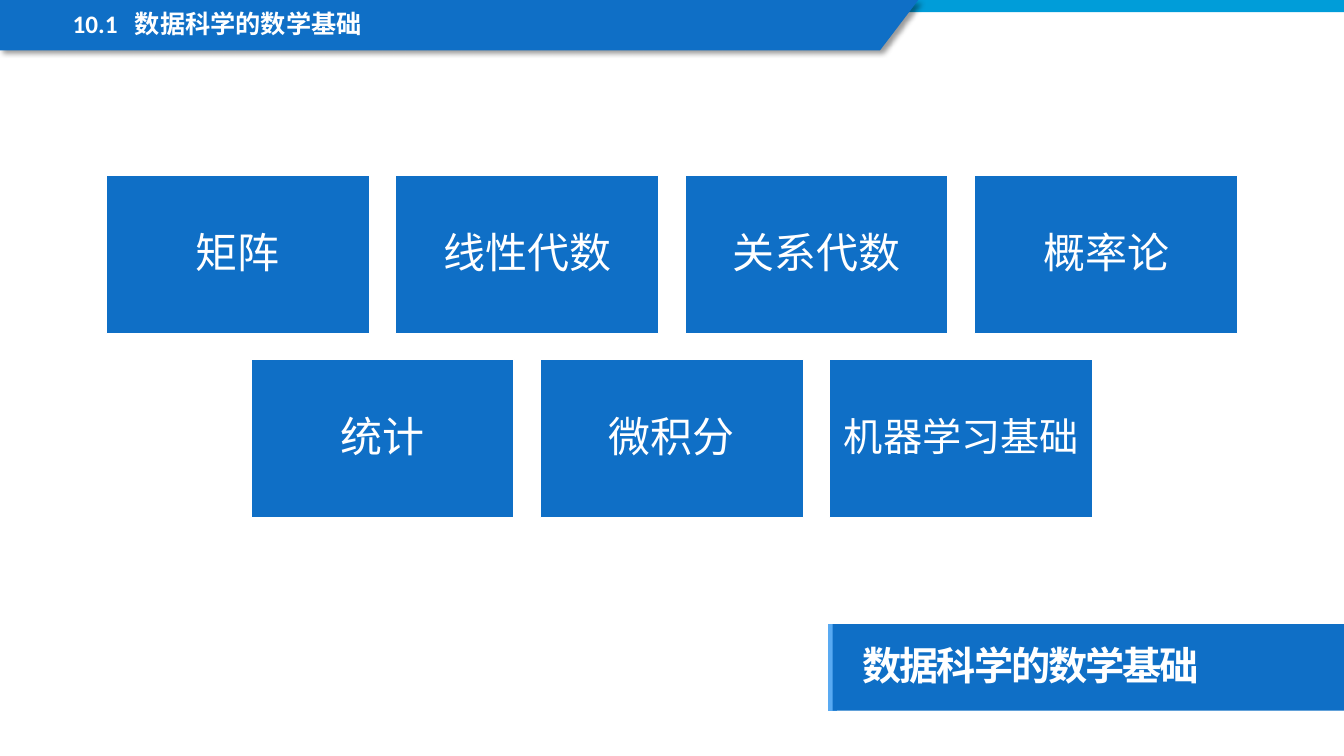
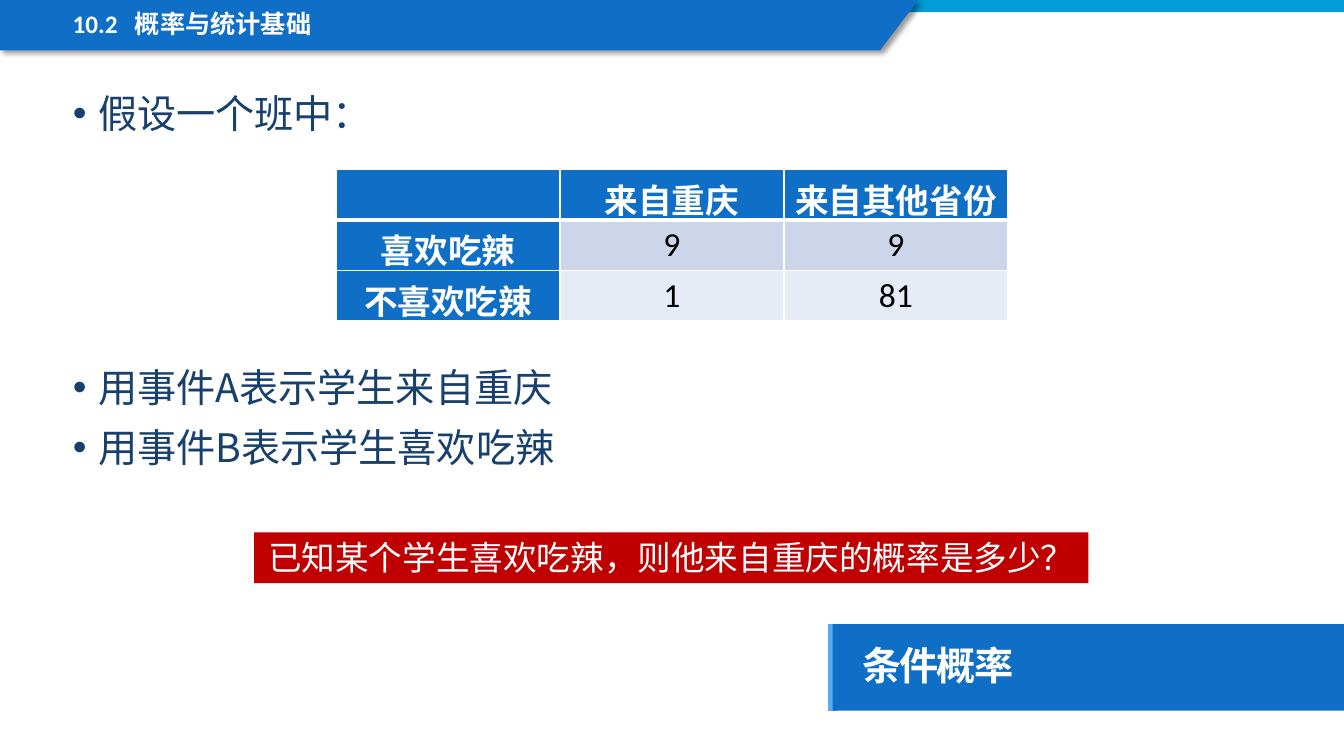
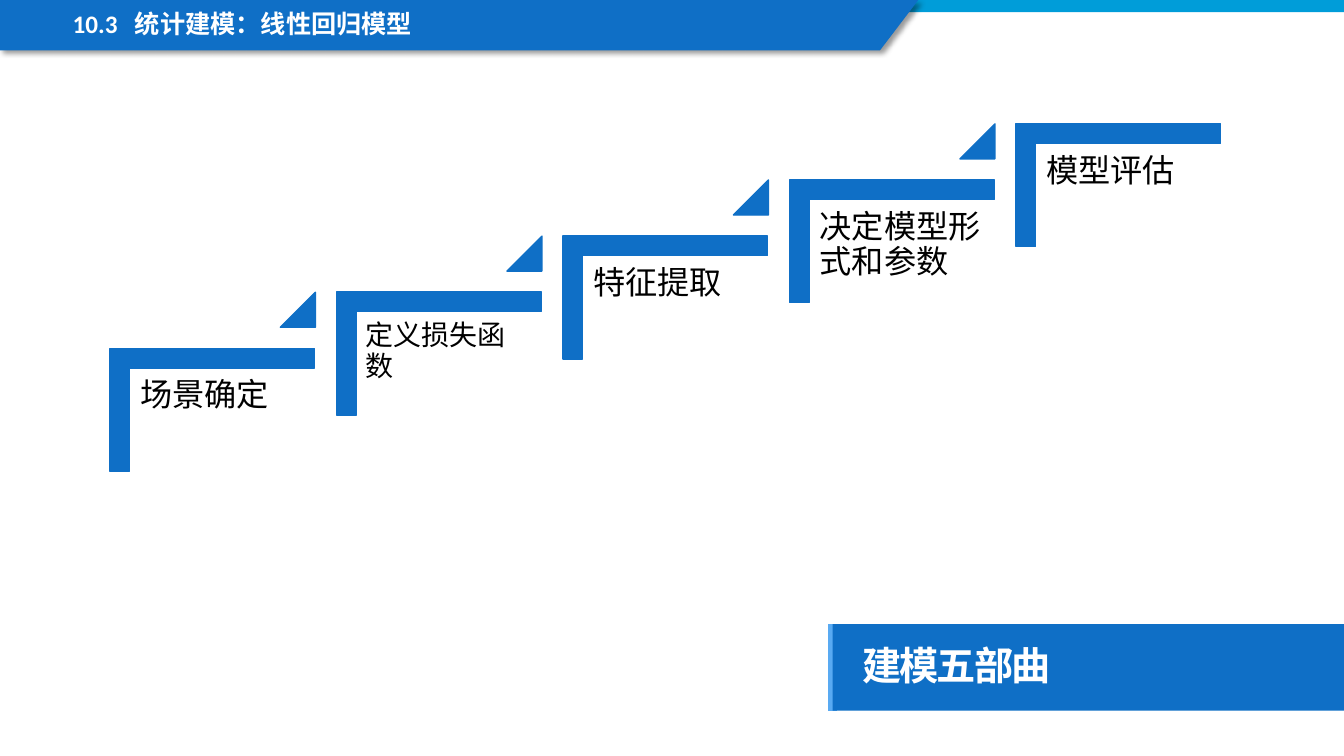
from dataclasses import dataclass
from typing import Optional

from lxml.etree import SubElement
from pptx import Presentation
from pptx.dml.color import RGBColor
from pptx.enum.shapes import MSO_CONNECTOR, MSO_SHAPE
from pptx.enum.text import MSO_ANCHOR, PP_ALIGN
from pptx.oxml.ns import qn
from pptx.util import Pt

COLOURS = {
    "blue": "0F6FC6", "cyan": "009DD9", "edge": "59AAF2", "navy": "17406D",
    "red": "C00000", "white": "FFFFFF", "black": "000000",
    "band_dark": "CCD5EA", "band_light": "E7EBF5",
}
CJK_FONT = "Noto Sans CJK SC"
PAGE_WIDTH, PAGE_HEIGHT = 960, 540


@dataclass(frozen=True)
class TextStyle:
    size: float
    colour: str
    font: str = "Calibri"
    bold: bool = False
    align: PP_ALIGN = PP_ALIGN.LEFT
    anchor: MSO_ANCHOR = MSO_ANCHOR.TOP
    line_spacing: float = 0.9
    space_before: float = 0
    insets: tuple = (7.2, 3.6, 7.2, 3.6)
    wrap: bool = True
    tracking: Optional[int] = None
    bullet_indent: float = 0
    tab_stop: float = 0


@dataclass(frozen=True)
class Step:
    label: str
    size: float = 23
    inset: float = 7.2


@dataclass(frozen=True)
class Tile:
    label: str
    size: float = 30


HEADING = TextStyle(18, "white", bold=True, tab_stop=44.5)
PANEL = TextStyle(28, "white", CJK_FONT, True, anchor=MSO_ANCHOR.MIDDLE,
                  insets=(21.6, 14.4, 14.4, 14.4), tracking=-150)
BULLETS = TextStyle(28, "navy", CJK_FONT, line_spacing=1.1, space_before=6,
                    bullet_indent=18)
QUESTION = TextStyle(24, "white", CJK_FONT, align=PP_ALIGN.CENTER,
                     line_spacing=1.0, wrap=False)


def colour(name: str) -> RGBColor:
    return RGBColor.from_string(COLOURS[name])


def points(*lengths: float) -> list:
    return [Pt(length) for length in lengths]


def set_attributes(target, values: dict) -> None:
    for name, value in values.items():
        setattr(target, name, value)


# Text
def write_paragraph(para, text: str, style: TextStyle, first: bool = True) -> None:
    set_attributes(para, {
        "alignment": style.align,
        "line_spacing": style.line_spacing,
        "space_before": Pt(0 if first else style.space_before),
    })
    properties = para._p.get_or_add_pPr()
    if style.bullet_indent:
        indent = Pt(style.bullet_indent)
        properties.set("marL", str(indent))
        properties.set("indent", str(-indent))
        SubElement(properties, qn("a:buFont"), typeface="Arial")
        SubElement(properties, qn("a:buChar"), char="•")
    if style.tab_stop:
        tabs = SubElement(properties, qn("a:tabLst"))
        SubElement(tabs, qn("a:tab"), pos=str(Pt(style.tab_stop)), algn="l")
    span = para.add_run()
    span.text = text
    set_attributes(span.font, {"name": style.font, "size": Pt(style.size),
                               "bold": style.bold})
    span.font.color.rgb = colour(style.colour)
    run_properties = span._r.get_or_add_rPr()
    SubElement(run_properties, qn("a:ea"), typeface=CJK_FONT)
    if style.tracking is not None:
        run_properties.set("spc", str(style.tracking))


def write_text(box, lines: list, style: TextStyle) -> None:
    frame = box.text_frame
    left, top, right, bottom = points(*style.insets)
    set_attributes(frame, {
        "word_wrap": style.wrap, "vertical_anchor": style.anchor,
        "margin_left": left, "margin_top": top,
        "margin_right": right, "margin_bottom": bottom,
    })
    for index, line in enumerate(lines):
        para = frame.add_paragraph() if index else frame.paragraphs[0]
        write_paragraph(para, line, style, first=index == 0)


def add_text(page, place: tuple, lines: list, style: TextStyle) -> None:
    write_text(page.shapes.add_textbox(*points(*place)), lines, style)


# Shapes
def paint(shape, fill: str, line: Optional[str] = None) -> None:
    shape.shadow.inherit = False
    shape.fill.solid()
    shape.fill.fore_color.rgb = colour(fill)
    if line:
        shape.line.color.rgb = colour(line)
        shape.line.width = Pt(1)
    else:
        shape.line.fill.background()


def add_block(page, kind: MSO_SHAPE, place: tuple, fill: str,
              line: Optional[str] = None):
    shape = page.shapes.add_shape(kind, *points(*place))
    paint(shape, fill, line)
    return shape


def add_drop_shadow(shape) -> None:
    effects = shape._element.spPr.find(qn("a:effectLst"))
    shadow = SubElement(effects, qn("a:outerShdw"), blurRad=str(Pt(4)),
                        dist=str(Pt(3)), dir="2700000", algn="tl", rotWithShape="0")
    tint = SubElement(shadow, qn("a:srgbClr"), val=COLOURS["black"])
    SubElement(tint, qn("a:alpha"), val="40000")


# Frame shared by all pages
def add_page(deck, number: str, section: str, topic: str):
    page = deck.slides.add_slide(deck.slide_layouts[6])
    panel_left, panel_top, panel_height = 594.7, 445.8, 61.8

    edge = page.shapes.add_connector(
        MSO_CONNECTOR.STRAIGHT,
        *points(panel_left, panel_top + panel_height, panel_left, panel_top))
    edge.line.color.rgb = colour("edge")
    edge.line.width = Pt(6)
    SubElement(edge._element.spPr, qn("a:effectLst"))

    add_block(page, MSO_SHAPE.RECTANGLE, (0, 0, PAGE_WIDTH, 8.8), "cyan")

    builder = page.shapes.build_freeform(0, 0)
    corners = [(656, 0), (628.6, 36), (0, 36)]
    builder.add_line_segments([tuple(points(*corner)) for corner in corners])
    band = builder.convert_to_shape()
    paint(band, "blue")
    add_drop_shadow(band)

    add_text(page, (44.8, 5, 501, 27.4), [f"{number}\t{section}"], HEADING)
    panel = add_block(page, MSO_SHAPE.RECTANGLE,
                      (panel_left, panel_top, PAGE_WIDTH - panel_left, panel_height),
                      "blue")
    write_text(panel, [topic], PANEL)
    return page


# Tiles in centred rows
def add_tiles(page, rows: list) -> None:
    width, height, gap, top = 188, 112.8, 18.7, 125.4
    for row_index, row in enumerate(rows):
        row_width = len(row) * (width + gap) - gap
        left = (PAGE_WIDTH - row_width) / 2
        for index, tile in enumerate(row):
            place = (left + index * (width + gap),
                     top + row_index * (height + gap), width, height)
            box = add_block(page, MSO_SHAPE.RECTANGLE, place, "blue", "white")
            write_text(box, [tile.label],
                       TextStyle(tile.size, "white", align=PP_ALIGN.CENTER,
                                 anchor=MSO_ANCHOR.MIDDLE, insets=(8.4,) * 4))


# Table with a coloured first row and column
def add_borders(cell, widths: dict) -> None:
    properties = cell._tc.get_or_add_tcPr()
    for side, width in widths.items():
        border = SubElement(properties, qn(f"a:ln{side}"), w=str(Pt(width)))
        fill = SubElement(border, qn("a:solidFill"))
        SubElement(fill, qn("a:srgbClr"), val=COLOURS["white"])


def add_count_table(page, rows: list) -> None:
    table = page.shapes.add_table(len(rows), len(rows[0]),
                                  *points(240, 121, 480, 108)).table
    set_attributes(table, {"first_row": False, "horz_banding": False})
    bands = ["blue", "band_dark", "band_light"]
    for row_index, row in enumerate(rows):
        for column_index, text in enumerate(row):
            cell = table.cell(row_index, column_index)
            heading = row_index == 0 or column_index == 0
            add_borders(cell, {"L": 1, "R": 1,
                               "T": 3 if row_index == 1 else 1,
                               "B": 3 if row_index == 0 else 1})
            cell.fill.solid()
            cell.fill.fore_color.rgb = colour("blue" if heading else bands[row_index])
            cell.vertical_anchor = MSO_ANCHOR.MIDDLE
            if text:
                style = TextStyle(24, "white" if heading else "black", bold=heading,
                                  align=PP_ALIGN.CENTER, line_spacing=1.0)
                write_paragraph(cell.text_frame.paragraphs[0], text, style)


# Rising staircase
def add_staircase(page, steps: list) -> None:
    run, rise = 161.8, 40.1
    for index, step in enumerate(steps):
        across, up = index * run, index * rise
        corner = add_block(page, MSO_SHAPE.CORNER,
                           (107.8 + across, 219.6 - up, 87.8, 146.2), "blue", "blue")
        corner.rotation = 90
        for position in range(2):
            corner.adjustments[position] = 0.16
        add_text(page, (93 + across, 263.6 - up, 132, 116), [step.label],
                 TextStyle(step.size, "black", insets=(step.inset,) * 4))
        if index < len(steps) - 1:
            marker = add_block(page, MSO_SHAPE.ISOSCELES_TRIANGLE,
                               (200.3 + across, 208.8 - up, 25, 25), "blue", "blue")
            marker.adjustments[0] = 1


def main() -> None:
    deck = Presentation()
    set_attributes(deck, {"slide_width": Pt(PAGE_WIDTH), "slide_height": Pt(PAGE_HEIGHT)})

    # Mathematical foundations
    page = add_page(deck, "10.1", "数据科学的数学基础", "数据科学的数学基础")
    add_tiles(page, [
        [Tile("矩阵"), Tile("线性代数"), Tile("关系代数"), Tile("概率论")],
        [Tile("统计"), Tile("微积分"), Tile("机器学习基础", 28)],
    ])

    # Conditional probability
    page = add_page(deck, "10.2", "概率与统计基础", "条件概率")
    add_text(page, (45, 57, 435, 41), ["假设一个班中："], BULLETS)
    add_count_table(page, [
        ["", "来自重庆", "来自其他省份"],
        ["喜欢吃辣", "9", "9"],
        ["不喜欢吃辣", "1", "81"],
    ])
    add_text(page, (45, 252.8, 435, 98.6),
             ["用事件A表示学生来自重庆", "用事件B表示学生喜欢吃辣"], BULLETS)
    question = add_block(page, MSO_SHAPE.RECTANGLE, (181.5, 380.2, 596, 36.4), "red")
    write_text(question, ["已知某个学生喜欢吃辣，则他来自重庆的概率是多少？"], QUESTION)

    # Five modelling steps
    page = add_page(deck, "10.3", "统计建模：线性回归模型", "建模五部曲")
    add_staircase(page, [
        Step("场景确定"), Step("定义损失函数", 20, 6.2), Step("特征提取"),
        Step("决定模型形式和参数"), Step("模型评估"),
    ])

    deck.save("out.pptx")


if __name__ == "__main__":
    main()
